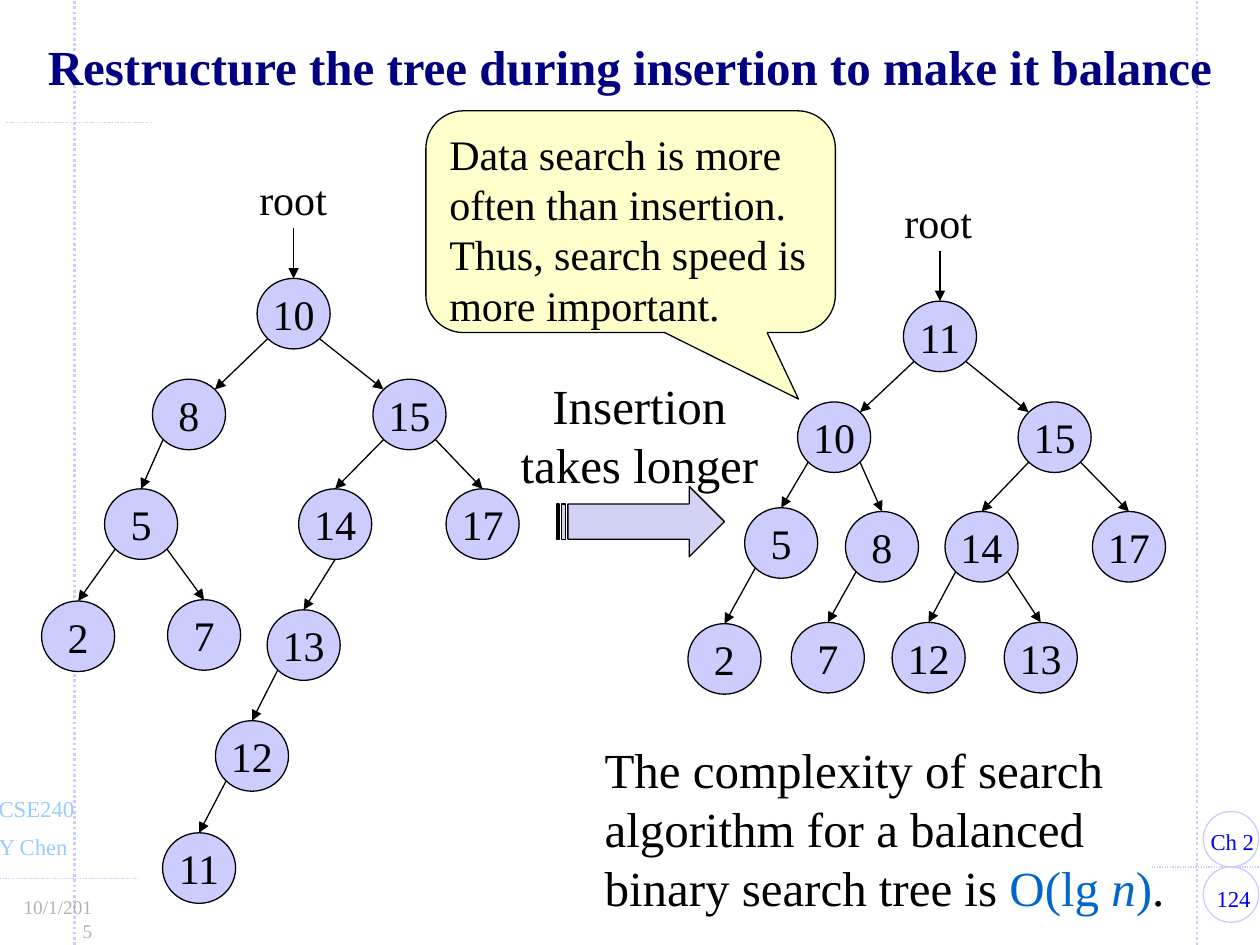
from lxml import etree
from pptx import Presentation
from pptx.dml.color import RGBColor
from pptx.enum import dml, shapes, text
from pptx.oxml.ns import qn
from pptx.util import Inches, Pt

COLORS = {"black": "000000", "navy": "000080", "blue": "0000FF", "accent": "0066CC",
          "sky": "99CCFF", "gray": "B2B2B2", "lilac": "CCCCFF",
          "arrow": "D2D2F4", "cream": "FFFFCC"}
FONT = "Times New Roman"
NODE_W, NODE_H = 0.58, 0.56
DIAG = 0.71  # cosine of 45 degrees, where links meet a node's rim

LEFT, CENTER, RIGHT = text.PP_ALIGN.LEFT, text.PP_ALIGN.CENTER, text.PP_ALIGN.RIGHT
TOP, MIDDLE = text.MSO_ANCHOR.TOP, text.MSO_ANCHOR.MIDDLE
KIND = shapes.MSO_SHAPE

# Guide lines: start, end, width
GUIDES = [((0.59, 7.5), (0.59, 0), 1.5), ((-0.06, 6.97), (1.09, 6.97), 0.75),
          ((9.5, 7.5), (9.5, 0), 1.5), ((9.14, 6.88), (10.05, 6.88), 0.75),
          ((0.05, 0.97), (1.2, 0.97), 0.75)]
RINGS = [(9.55, 6.88, 0.44, 0.44), (9.55, 6.44, 0.44, 0.44)]

# Footer labels: text, box, size, colour, alignment, wrap
FOOTER = [("124", (9.5, 6.97, 0.58, 0.32), 13, "blue", CENTER, True),
          ("Ch 2", (9.51, 6.52, 0.56, 0.32), 13, "blue", LEFT, False),
          ("Y Chen", (-0.11, 6.56, 0.77, 0.32), 13, "sky", LEFT, False),
          ("CSE240", (-0.11, 6.26, 0.81, 0.32), 13, "sky", LEFT, False),
          ("10/1/2015", (0.08, 7.06, 0.75, 0.29), 11, "gray", RIGHT, True)]

TITLE = "Restructure the tree during insertion to make it balance"
REASON = "Data search is more often than insertion. Thus, search speed is more important."
COST = "Insertion takes longer"
# Runs: text, colour, italic
RESULT = [("The complexity of search algorithm for a balanced binary search tree is ",
           "black", False),
          ("O(lg ", "accent", False), ("n", "accent", True), (")", "accent", False),
          (".", "black", False)]

# Nodes: value -> left, top. Links: parent, child; "straight" ones leave from the bottom.
TREES = [
    {"root": 10, "label": (1.96, 1.33), "straight": [(14, 13)],
     "nodes": {10: (2.04, 2.21), 8: (1.21, 3.01), 15: (2.96, 3.01), 5: (0.83, 3.88),
               14: (2.37, 3.88), 17: (3.54, 3.88), 2: (0.33, 4.77), 7: (1.33, 4.76),
               13: (2.12, 4.84), 12: (1.71, 5.72), 11: (1.29, 6.61)},
     "links": [(10, 8), (10, 15), (8, 5), (15, 14), (15, 17), (5, 2), (5, 7),
               (14, 13), (13, 12), (12, 11)]},
    {"root": 11, "label": (7.08, 1.51), "straight": [],
     "nodes": {11: (7.17, 2.39), 10: (6.33, 3.19), 15: (8.08, 3.19), 5: (5.91, 4.03),
               8: (6.71, 4.06), 14: (7.5, 4.06), 17: (8.67, 4.06), 2: (5.46, 4.95),
               7: (6.28, 4.94), 12: (7.08, 4.94), 13: (7.97, 4.94)},
     "links": [(11, 10), (11, 15), (10, 5), (10, 8), (15, 14), (15, 17), (5, 2),
               (8, 7), (14, 12), (14, 13)]},
]


def color(name):
    return RGBColor.from_string(COLORS[name])


def write(shape, runs, size, align=LEFT, anchor=TOP, wrap=True, bold=False):
    """Fill a shape with one paragraph of (text, colour, italic) runs."""
    frame = shape.text_frame
    frame.word_wrap = wrap
    frame.vertical_anchor = anchor
    para = frame.paragraphs[0]
    para.alignment = align
    for words, ink, italic in runs:
        run = para.add_run()
        run.text = words
        font = run.font
        font.name, font.size = FONT, Pt(size)
        font.bold, font.italic = bold, italic
        font.color.rgb = color(ink)
    return para


def add_text(parent, box, runs, size, **style):
    return write(parent.add_textbox(*map(Inches, box)), runs, size, **style)


def add_shape(parent, kind, box, fill=None, line="black"):
    shape = parent.add_shape(kind, *map(Inches, box))
    shape.shadow.inherit = False
    if fill:
        shape.fill.solid()
        shape.fill.fore_color.rgb = color(fill)
    else:
        shape.fill.background()
    shape.line.color.rgb = color(line)
    shape.line.width = Pt(0.75)
    return shape


def add_line(parent, start, end, ink="black", width=0.75, arrow=False):
    line = parent.add_connector(shapes.MSO_CONNECTOR.STRAIGHT, *map(Inches, start + end))
    line.line.color.rgb = color(ink)
    line.line.width = Pt(width)
    if arrow:
        tail = etree.SubElement(line.line._get_or_add_ln(), qn("a:tailEnd"))
        tail.set("type", "triangle")
    else:
        line.line.dash_style = dml.MSO_LINE.ROUND_DOT
    etree.SubElement(line._element.spPr, qn("a:effectLst"))


def rim(node, dx, dy):
    """Point on a node's edge; dx and dy are fractions of its radii."""
    return (node[0] + NODE_W / 2 * (1 + dx), node[1] + NODE_H / 2 * (1 + dy))


def add_tree(parent, tree):
    nodes = tree["nodes"]
    for value, spot in nodes.items():
        oval = add_shape(parent, KIND.OVAL, spot + (NODE_W, NODE_H), "lilac")
        write(oval, [(str(value), "black", False)], 24, CENTER, MIDDLE, wrap=False)
    for pair in tree["links"]:
        top, low = (nodes[value] for value in pair)
        side = DIAG if low[0] > top[0] else -DIAG
        start = rim(top, 0, 1) if pair in tree["straight"] else rim(top, side, DIAG)
        end = rim(low, -side, -DIAG) if pair[0] == tree["root"] else rim(low, 0, -1)
        add_line(parent, start, end, arrow=True)
    left, y = tree["label"]
    add_text(parent, (left, y, 0.74, 0.48), [("root", "black", False)], 24, wrap=False)
    tip = rim(nodes[tree["root"]], 0, -1)
    add_line(parent, (tip[0], y + 0.48), tip, arrow=True)


def main():
    deck = Presentation()
    deck.slide_width, deck.slide_height = Inches(10), Inches(7.5)
    canvas = deck.slides.add_slide(deck.slide_layouts[6]).shapes

    for start, end, width in GUIDES:
        add_line(canvas, start, end, "lilac", width)
    for box in RINGS:
        add_shape(canvas, KIND.OVAL, box, line="lilac")
    for words, box, size, ink, align, wrap in FOOTER:
        add_text(canvas, box, [(words, ink, False)], size, align=align, wrap=wrap)

    title = add_text(canvas, (0, 0.25, 10, 0.62), [(TITLE, "navy", False)], 28,
                     align=CENTER, anchor=MIDDLE, bold=True)
    title.line_spacing = 0.85

    for tree in TREES:
        add_tree(canvas.add_group_shape().shapes, tree)

    add_shape(canvas, KIND.STRIPED_RIGHT_ARROW, (4.42, 3.86, 1.33, 0.56), "arrow")
    add_text(canvas, (4.7, 5.82, 4.92, 1.51), RESULT, 28)
    bubble = add_shape(canvas, KIND.ROUNDED_RECTANGULAR_CALLOUT,
                       (3.38, 0.88, 3.25, 1.76), "cream")
    for i, value in enumerate((0.41, 0.8, 0.17)):
        bubble.adjustments[i] = value
    write(bubble, [(REASON, "black", False)], 24)
    add_text(canvas, (3.99, 2.93, 2.17, 1.04), [(COST, "black", False)], 28, align=CENTER)

    deck.save("out.pptx")


if __name__ == "__main__":
    main()
